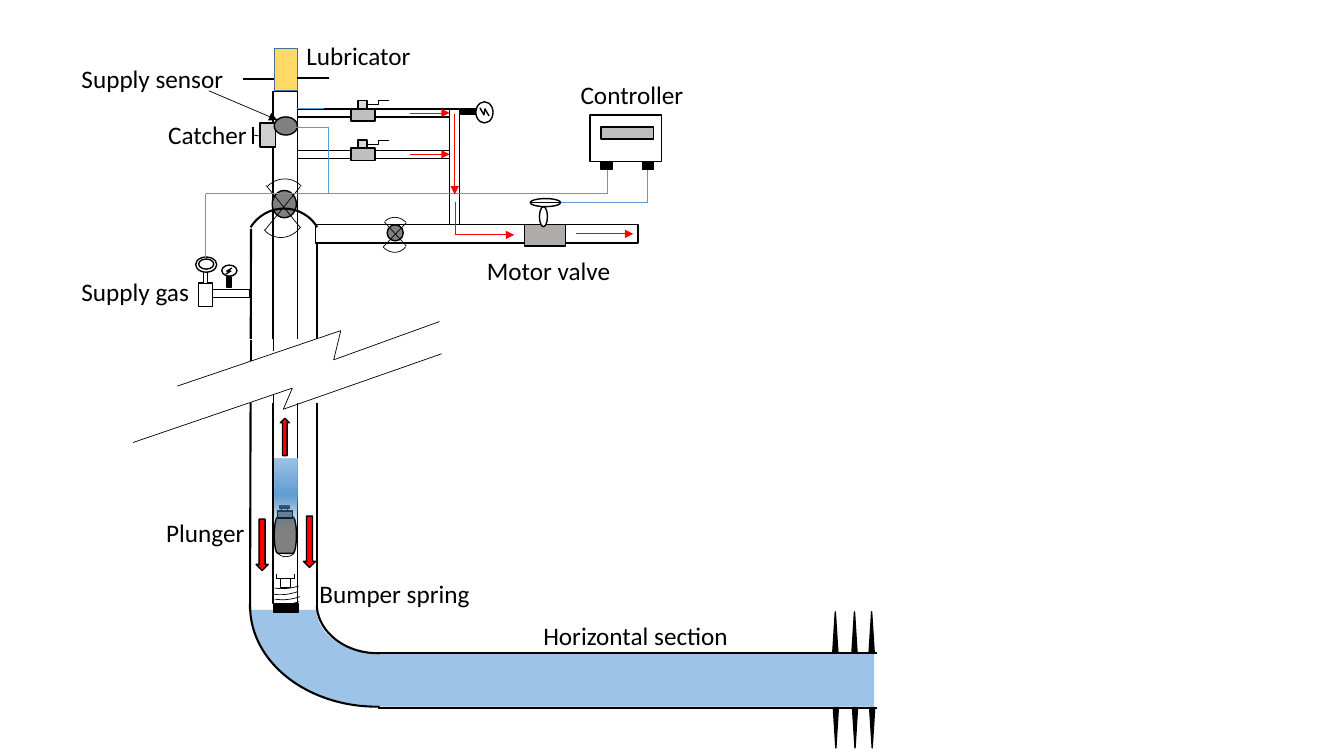
from math import cos, radians, sin
from typing import NamedTuple, Optional

from lxml.etree import SubElement
from pptx import Presentation
from pptx.dml.color import RGBColor
from pptx.enum.shapes import MSO_CONNECTOR, MSO_SHAPE
from pptx.enum.text import MSO_AUTO_SIZE
from pptx.oxml.ns import qn
from pptx.util import Inches, Pt

# The slide is a grid of 1333 columns by 750 rows of square cells.
COLUMNS, ROWS = 1333, 750
CELL = Inches(0.01)
BLACK, WHITE, RED, SIGNAL = "000000", "FFFFFF", "FF0000", "5B9BD5"
STEEL, SILVER, WATER = "808080", "BFBFBF", "9DC3E6"
RECT, OVAL, ARC = MSO_SHAPE.RECTANGLE, MSO_SHAPE.OVAL, MSO_SHAPE.ARC
TRIANGLE, DOWN = MSO_SHAPE.ISOSCELES_TRIANGLE, MSO_SHAPE.DOWN_ARROW


class Part(NamedTuple):
    """A preset shape in grid cells."""
    kind: MSO_SHAPE
    left: float
    top: float
    cols: float
    rows: float
    fill: Optional[str] = WHITE
    line: Optional[str] = BLACK
    weight: float = 1
    turn: float = 0
    sweep: tuple = ()


class Run(NamedTuple):
    """A straight or bent line through grid points."""
    points: tuple
    color: str = BLACK
    weight: float = 0.5
    arrow: bool = False
    kind: MSO_CONNECTOR = MSO_CONNECTOR.STRAIGHT


class Label(NamedTuple):
    """A caption and its box in grid cells."""
    text: str
    left: float
    top: float
    cols: float


def cells(count: float) -> int:
    """Turn grid cells into slide units."""
    return round(count * CELL)


def colour(code: str) -> RGBColor:
    """Turn a hex string into a colour."""
    return RGBColor.from_string(code)


def paint(shape, fill: Optional[str], line: Optional[str], weight: float = 1):
    """Set fill and outline, without shadow."""
    shape.shadow.inherit = False
    for target, code in ((shape.fill, fill), (shape.line.fill, line)):
        if code:
            target.solid()
            target.fore_color.rgb = colour(code)
        else:
            target.background()
    if line:
        shape.line.width = Pt(weight)
    return shape


def draw(*parts: Part):
    """Draw preset shapes and give back the last."""
    for part in parts:
        shape = canvas.add_shape(part.kind, *map(cells, part[1:5]))
        shape.rotation = part.turn
        for index, value in enumerate(part.sweep):
            shape.adjustments[index] = value
        paint(shape, part.fill, part.line, part.weight)
    return shape


def arc(left, top, cols, rows, turn, sweep, weight=0.5) -> Part:
    """Describe an open arc."""
    return Part(ARC, left, top, cols, rows, None, BLACK, weight, turn, sweep)


def connect(*runs: Run) -> None:
    """Draw each run as connectors, with an arrowhead at its end if asked."""
    for run in runs:
        for start, end in zip(run.points, run.points[1:]):
            link = canvas.add_connector(run.kind, *map(cells, start + end))
            link.line.color.rgb = colour(run.color)
            link.line.width = Pt(run.weight)
            if run.arrow and end == run.points[-1]:
                SubElement(link.line._get_or_add_ln(), qn("a:tailEnd"), type="triangle")
            SubElement(link._element.spPr, qn("a:effectLst"))


def outline(points, closed: bool, fill=None, line=None) -> None:
    """Draw a free outline through grid points."""
    first, *rest = [(cells(x), cells(y)) for x, y in points]
    builder = canvas.build_freeform(*first)
    builder.add_line_segments(rest, close=closed)
    paint(builder.convert_to_shape(), fill, line)


def write(text: str, left, top, cols, rows=40, size=18, font="Calibri", color=BLACK) -> None:
    """Write a text box."""
    box = canvas.add_textbox(*map(cells, (left, top, cols, rows)))
    box.text_frame.word_wrap = True
    box.text_frame.auto_size = MSO_AUTO_SIZE.SHAPE_TO_FIT_TEXT
    run = box.text_frame.paragraphs[0].add_run()
    run.text = text
    run.font.size, run.font.name = Pt(size), font
    run.font.color.rgb = colour(color)


def quarter(x, y, across, down, angles) -> list:
    """List points along an ellipse."""
    return [(x + across * cos(radians(a)), y + down * sin(radians(a))) for a in angles]


def hand_valve(top: float) -> None:
    """Draw a valve with a lever on a flow line."""
    draw(Part(RECT, 348, top + 8, 24, 12, SILVER), Part(RECT, 355, top, 9, 8, "D9D9D9"))
    connect(Run(((364, top + 4), (386, top)), kind=MSO_CONNECTOR.ELBOW))


def wheel_valve(disc, crossing, upper, lower) -> None:
    """Draw a round valve with crossed lines between two arcs."""
    draw(Part(OVAL, *disc, STEEL))
    connect(*(Run(points) for points in crossing))
    draw(arc(*upper, 313.7, (162, 2.33)), arc(*lower, 124.9, (162, 8.53)))


def fade(shape, stops, angle: int) -> None:
    """Fill a shape with a gradient of (share, colour, opacity) stops."""
    spot = shape._element.spPr.find(qn("a:noFill"))
    spot.tag = qn("a:gradFill")
    listing = SubElement(spot, qn("a:gsLst"))
    for share, code, opacity in stops:
        stop = SubElement(listing, qn("a:gs"), pos=str(share * 1000))
        tint = SubElement(stop, qn("a:srgbClr"), val=code)
        SubElement(tint, qn("a:alpha"), val=str(opacity * 1000))
    SubElement(spot, qn("a:lin"), ang=str(angle * 60000), scaled="0")


deck = Presentation()
deck.slide_width, deck.slide_height = cells(COLUMNS), cells(ROWS)
canvas = deck.slides.add_slide(deck.slide_layouts[6]).shapes

# Water in the bend and the horizontal section
outline(quarter(374, 605, 125, 95, range(180, 89, -5)) + [(384, 700), (384, 648)]
        + quarter(374, 605, 60, 43, range(90, 181, 5)), True, WATER)
draw(Part(RECT, 376, 648, 491, 53, WATER, None))

# Lubricator, tubing and flow lines
draw(Part(RECT, 272, 48, 23, 42, "FFD966", "43739E"), Part(RECT, 271, 91, 24, 508),
     *(Part(RECT, 295, top, 151, 8) for top in (108, 149)), Part(RECT, 446, 108, 10, 121))
for top in (100, 139):
    hand_valve(top)
draw(Part(RECT, 457, 108, 16, 5, BLACK), Part(OVAL, 472, 101, 17, 21))
outline([(476, 107), (480, 114), (481, 108), (485, 115)], False, line=BLACK)

# Wellhead, casing and sales line
wheel_valve((270, 189, 24, 27), (((264, 184), (298, 226)), ((298, 185), (263, 228))),
            (258, 178, 47, 45), (256, 190, 47, 45))
connect(Run(((249, 227), (248, 604)), weight=1.5), Run(((314, 224), (314, 602)), weight=1.5))
draw(Part(RECT, 313, 223, 320, 18))
wheel_valve((384, 223, 16, 16), (((381, 220), (403, 244)), ((403, 221), (380, 245))),
            (379, 215, 27, 29), (377, 222, 27, 29))
draw(arc(243, 207, 77, 76, 337.9, (139.49, 210.9), 1.5))

# Supply gas with its gauge
draw(Part(RECT, 211, 287, 37, 8), Part(RECT, 225, 275, 4, 10, BLACK), Part(OVAL, 220, 263, 15, 11))
outline([(224, 272), (229, 269), (225, 269), (230, 266)], False, line=BLACK)
draw(Part(RECT, 197, 281, 14, 23), Part(RECT, 202, 269, 4, 12),
     Part(OVAL, 194, 255, 21, 15), Part(OVAL, 197, 257, 15, 10))

# Catcher, lubricator arms and supply sensor
draw(Part(RECT, 258, 122, 15, 24, "D0CECE"))
connect(Run(((251, 126), (251, 143)), weight=1.5), Run(((251, 134), (258, 135))),
        Run(((272, 78), (241, 78)), weight=1.5), Run(((326, 77), (295, 77)), weight=1.5))
draw(Part(OVAL, 272, 116, 23, 18, STEEL))

# Motor valve, controller and signal lines
connect(Run(((204, 256), (204, 192), (602, 192), (602, 164)), SIGNAL),
        Run(((642, 164), (642, 201), (556, 201)), SIGNAL),
        Run(((293, 126), (326, 126), (326, 192)), SIGNAL), Run(((295, 108), (321, 108)), SIGNAL))
draw(Part(RECT, 520, 223, 41, 21, "AFABAB"), Part(OVAL, 535, 205, 8, 20), Part(OVAL, 526, 197, 30, 8))
connect(Run(((526, 201), (556, 201))))
draw(Part(RECT, 585, 114, 71, 46), *(Part(RECT, left, 160, 11, 8, BLACK) for left in (596, 637)),
     Part(RECT, 596, 126, 52, 12, SILVER))

# Plunger below its liquid slug
draw(Part(MSO_SHAPE.FLOWCHART_TERMINATOR, 272, 513, 22, 36, STEEL),
     arc(272, 529, 24, 23, 133.8, (164.08, 0)), Part(RECT, 275, 507, 15, 7, STEEL),
     Part(RECT, 279, 504, 6, 3), Part(RECT, 277, 502, 10, 2))
slug = draw(Part(RECT, 272, 455, 23, 67, None, None))
fade(slug, ((0, "2A69A2", 0), (48, "609ED6", 100), (100, WATER, 100)), 270)

# Bumper spring
draw(arc(230, 484, 100, 100, 133.9, (178.34, 194.96)),
     *(arc(left, top, 100, 100, 133.9, (177.51, 194.96))
       for left, top in ((230, 495), (228, 490), (229, 500))), Part(RECT, 278, 574, 10, 9))
connect(Run(((274, 569), (274, 574), (292, 574), (292, 569))))
draw(Part(RECT, 271, 599, 25, 8, BLACK))

# Flow arrows
draw(Part(MSO_SHAPE.UP_ARROW, 278, 415, 9, 37, RED),
     Part(DOWN, 254, 515, 12, 51, RED), Part(DOWN, 301, 512, 12, 51, RED))
for route in (((407, 112), (446, 112)), ((407, 153), (446, 153)), ((451, 113), (451, 193)),
              ((452, 200), (452, 233), (510, 233)), ((571, 232), (628, 232))):
    connect(Run(route, RED, arrow=True))
connect(Run(((207, 90), (275, 119)), arrow=True))

# Break in the well
draw(Part(RECT, 222, 337, 137, 62, WHITE, WHITE))
connect(Run(((176, 383), (338, 328), (331, 357), (436, 319))),
        Run(((132, 439), (290, 385), (281, 406), (438, 351))),
        Run(((249, 337), (249, 358)), weight=1.5),
        Run(((271, 333), (271, 348))), Run(((271, 392), (271, 404))))

# Walls of the bend and horizontal section, with perforations
draw(arc(314, 549, 121, 99, 180, (160.57, 214.16), 1.5), arc(248, 502, 251, 199, 180, (161.01, 0), 1.5))
connect(*(Run(((375, row), (870, row)), weight=1.5) for row in (648, 702)))
for left in (826, 845, 862):
    draw(Part(TRIANGLE, left, 607, 5, 40, BLACK), Part(TRIANGLE, left + 0.5, 702, 5, 40, BLACK, turn=180))

for label in (Label("Supply gas", 71, 269, 130), Label("Supply sensor", 71, 58, 169),
              Label("Lubricator", 294, 35, 271), Label("Controller", 566, 74, 152),
              Label("Motor valve", 473, 248, 165), Label("Plunger", 155, 508, 115),
              Label("Bumper spring", 307, 569, 315), Label("Catcher", 157, 113, 100),
              Label("Horizontal section", 529, 611, 206)):
    write(*label)

deck.save("out.pptx")
